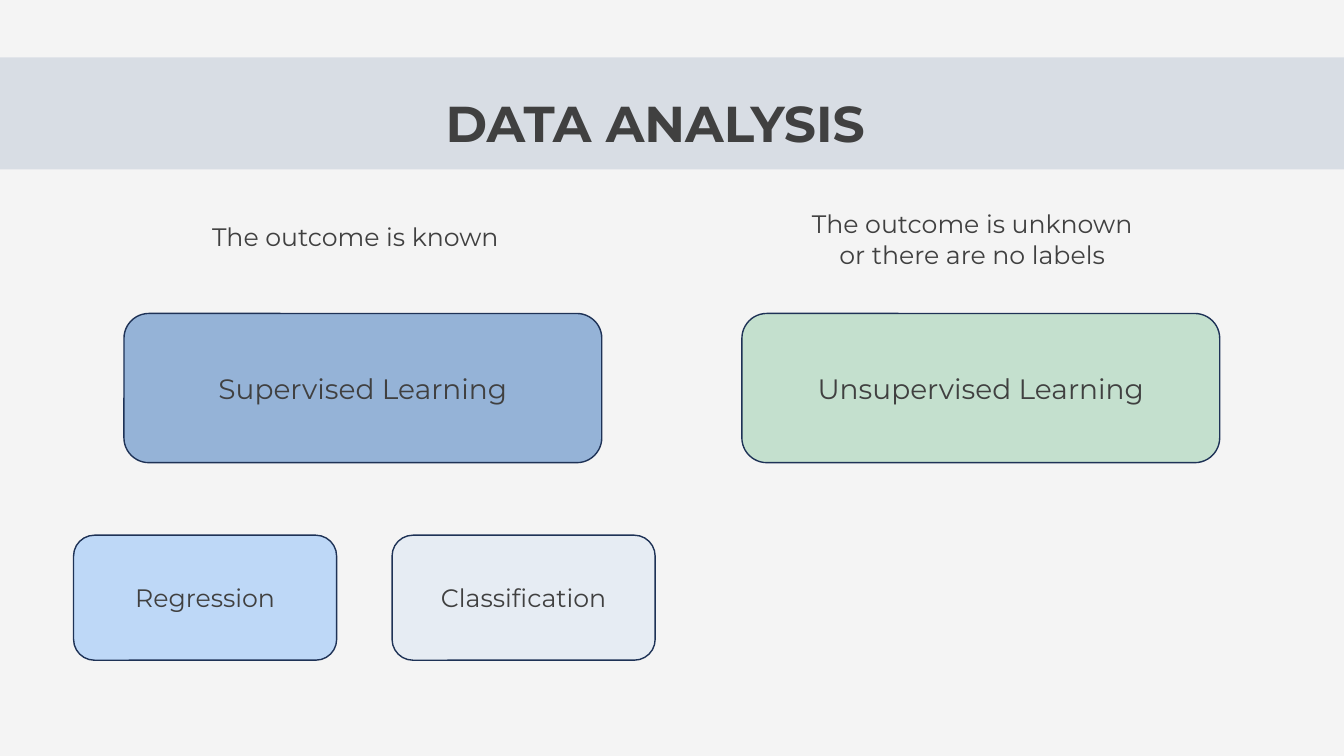
from dataclasses import dataclass
from lxml.etree import SubElement
from pptx import Presentation
from pptx.dml.color import RGBColor
from pptx.enum.shapes import MSO_SHAPE
from pptx.enum.text import MSO_ANCHOR, PP_ALIGN
from pptx.oxml.ns import qn
from pptx.util import Inches, Pt

COLUMNS, ROWS = 40, 22.5
FONT, INK, OUTLINE = "Montserrat", "404040", "1E3256"


@dataclass(frozen=True)
class Area:
    column: float
    row: float
    columns: float
    rows: float


@dataclass(frozen=True)
class Card:
    label: str
    fill: str


@dataclass(frozen=True)
class CardRow:
    first: Area
    step: float
    size: int
    cards: tuple[Card, ...]


@dataclass(frozen=True)
class Caption:
    area: Area
    lines: tuple[str, ...]


CARD_ROWS = (
    CardRow(Area(3.69, 9.33, 14.22, 4.44), 18.39, 20,
            (Card("Supervised Learning", "95B3D7"),
             Card("Unsupervised Learning", "C4E0CE"))),
    CardRow(Area(2.19, 15.93, 7.83, 3.72), 9.48, 18,
            (Card("Regression", "BED8F7"),
             Card("Classification", "E6ECF3"))),
)
CAPTIONS = (
    Caption(Area(4.8, 6.45, 11.55, 1.2), ("The outcome is known",)),
    Caption(Area(23.16, 6.06, 11.55, 2.13),
            ("The outcome is unknown", "or there are no labels")),
)

deck = Presentation()
deck.slide_width, deck.slide_height = Inches(13.33), Inches(7.5)
page = deck.slides.add_slide(deck.slide_layouts[6])


def color(value: str) -> RGBColor:
    return RGBColor.from_string(value)


def place(area: Area) -> tuple[int, int, int, int]:
    column_width, row_height = deck.slide_width / COLUMNS, deck.slide_height / ROWS
    return (round(area.column * column_width), round(area.row * row_height),
            round(area.columns * column_width), round(area.rows * row_height))


def add_shape(kind: MSO_SHAPE, area: Area, fill: str, line: str | None = None):
    shape = page.shapes.add_shape(kind, *place(area))
    shape.shadow.inherit = False
    shape.fill.solid()
    shape.fill.fore_color.rgb = color(fill)
    if line:
        shape.line.color.rgb = color(line)
        shape.line.width = Pt(1)
    else:
        shape.line.fill.background()
    return shape


def write(frame, *lines: str, size: int, bold: bool = False,
          spacing: float | None = None,
          anchor: MSO_ANCHOR = MSO_ANCHOR.TOP) -> None:
    frame.word_wrap = True
    frame.vertical_anchor = anchor
    for index, text in enumerate(lines):
        para = frame.add_paragraph() if index else frame.paragraphs[0]
        para.alignment = PP_ALIGN.CENTER
        if spacing:
            para.line_spacing = Pt(spacing)
        span = para.add_run()
        span.text = text
        span.font.name = FONT
        span.font.size = Pt(size)
        span.font.bold = bold
        span.font.color.rgb = color(INK)


def add_band(area: Area, fill: str, opacity: int) -> None:
    band = add_shape(MSO_SHAPE.RECTANGLE, area, fill)
    tint = band.fill._xPr.find(qn("a:solidFill"))[0]
    SubElement(tint, qn("a:alpha"), val=str(opacity * 1000))


def add_title(area: Area, text: str) -> None:
    frame = page.shapes.add_textbox(*place(area)).text_frame
    frame.margin_left = frame.margin_right = 0
    frame.margin_top = frame.margin_bottom = 0
    write(frame, text, size=36, bold=True, spacing=52)


def add_cards(group: CardRow) -> None:
    first = group.first
    for index, card in enumerate(group.cards):
        area = Area(first.column + index * group.step, first.row,
                    first.columns, first.rows)
        box = add_shape(MSO_SHAPE.ROUNDED_RECTANGLE, area, card.fill, OUTLINE)
        write(box.text_frame, card.label, size=group.size, anchor=MSO_ANCHOR.MIDDLE)


def add_caption(caption: Caption) -> None:
    box = page.shapes.add_textbox(*place(caption.area))
    write(box.text_frame, *caption.lines, size=18)


def main() -> None:
    page.background.fill.solid()
    page.background.fill.fore_color.rgb = color("F4F4F4")
    add_band(Area(0, 1.71, COLUMNS, 3.33), "D3D9E2", 84)
    add_title(Area(9.33, 2.37, 20.34, 2), "DATA ANALYSIS")
    for group in CARD_ROWS:
        add_cards(group)
    for caption in CAPTIONS:
        add_caption(caption)
    deck.save("out.pptx")


if __name__ == "__main__":
    main()
